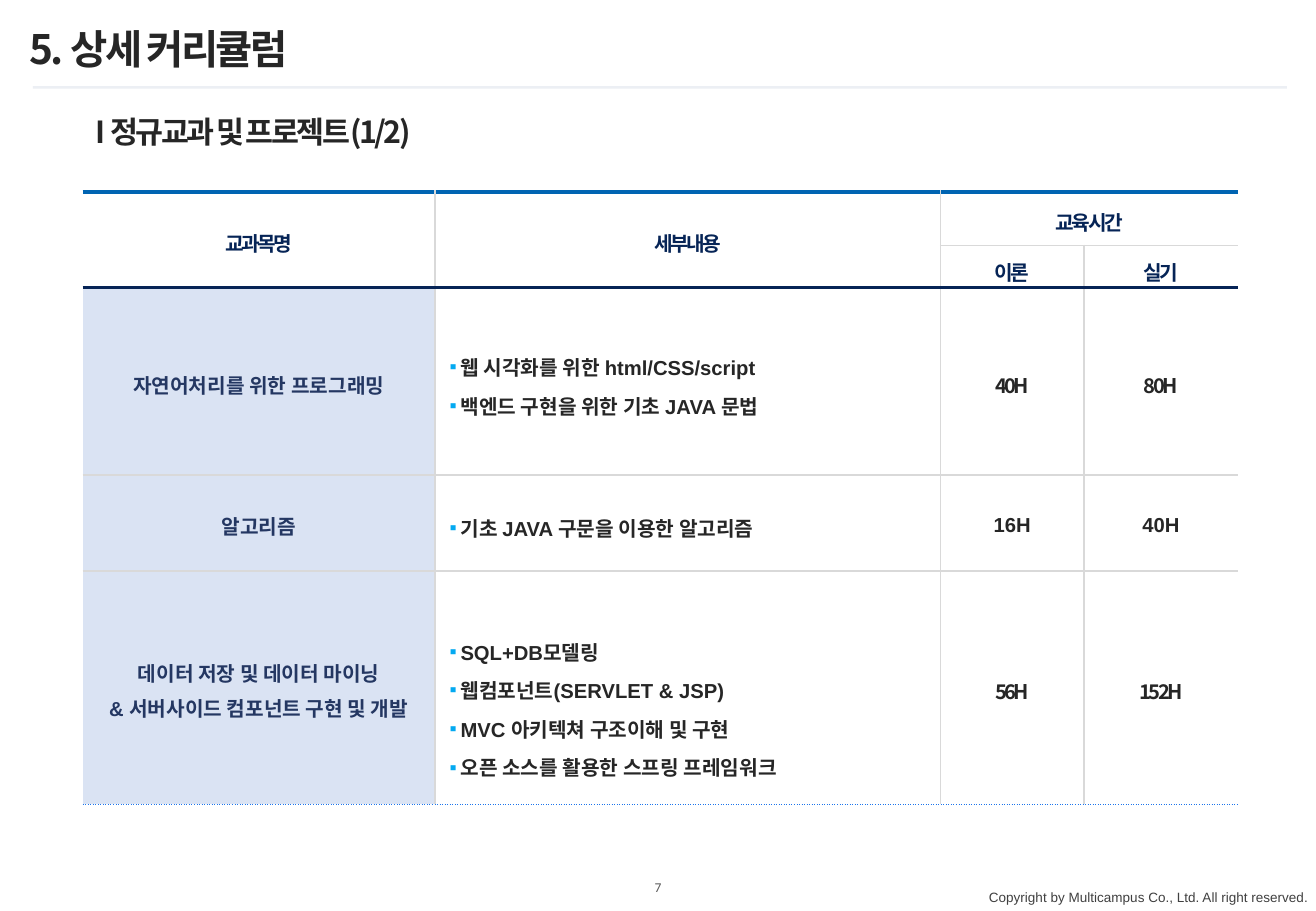
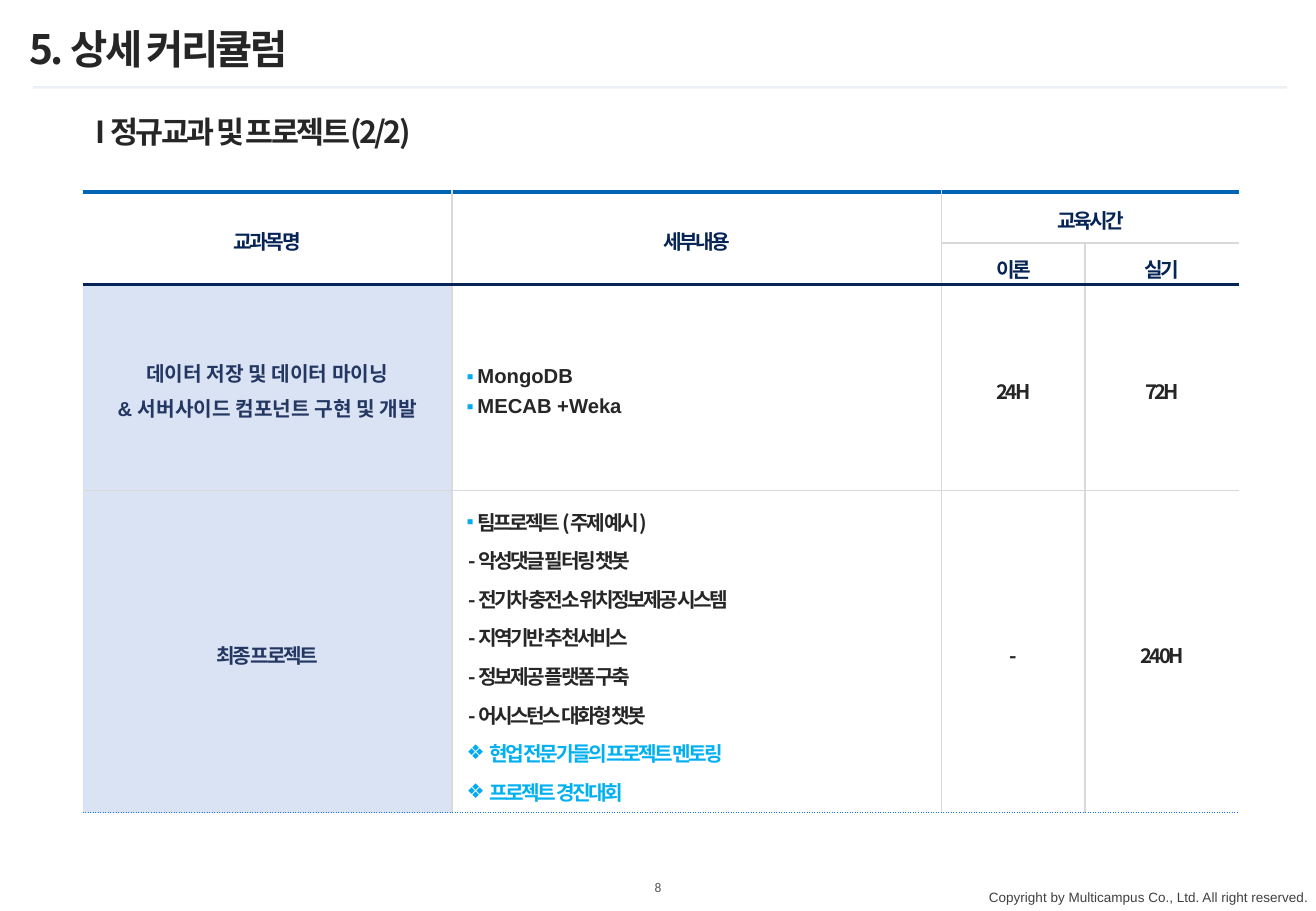
import pptx
import pptx.dml.color
import pptx.enum.shapes
import pptx.enum.text
import pptx.oxml.xmlchemy
import pptx.util

PX = 9144  # 100 px to the inch
SANS, LATIN = "Noto Sans CJK KR", "Arial"
INK, NAVY, SLATE, SKY = "262626", "062456", "243762", "00B0F0"
BULLET, PALE, DIVIDER = "03A9F1", "DAE3F3", "ECEFF4"
TIGHT = -1.5
ALIGN = pptx.enum.text.PP_ALIGN
MIDDLE = pptx.enum.text.MSO_ANCHOR.MIDDLE

# Table rules: colour, width in points, dash
GRID = ("D9D9D9", 1, "solid")
TOP_RULE = ("0064B2", 2.25, "solid")
HEAD_RULE = (NAVY, 2.25, "solid")
END_RULE = ("1C75ED", 0.5, "sysDot")

# Header cells: first row, first column, last row, last column, text
HEADERS = [(0, 0, 1, 0, "교과목명"), (0, 1, 1, 1, "세부내용"),
           (0, 2, 0, 3, "교육시간"), (1, 2, 1, 2, "이론"), (1, 3, 1, 3, "실기")]
STORAGE = ["데이터 저장 및 데이터 마이닝", "& 서버사이드 컴포넌트 구현 및 개발"]

# Each course: name, details, hours, fonts of those three, extra space above details
PAGES = [
    dict(number=7, subtitle="I 정규교과 및 프로젝트(1/2)",
         columns=[290, 416, 118, 127], rows=[44, 35, 154, 79, 192],
         courses=[
             (["자연어처리를 위한 프로그래밍"],
              ["▪웹 시각화를 위한 html/CSS/script", "▪백엔드 구현을 위한 기초 JAVA 문법"],
              ["40H", "80H"], (LATIN, LATIN, SANS), 0),
             (["알고리즘"], ["▪기초 JAVA 구문을 이용한 알고리즘"],
              ["16H", "40H"], (LATIN, LATIN, LATIN), 0),
             (STORAGE,
              ["▪SQL+DB모델링", "▪웹컴포넌트(SERVLET & JSP)",
               "▪MVC 아키텍쳐 구조이해 및 구현", "▪오픈 소스를 활용한 스프링 프레임워크"],
              ["56H", "152H"], (LATIN, LATIN, SANS), 28)]),
    dict(number=8, subtitle="I 정규교과 및 프로젝트(2/2)",
         columns=[304, 403, 118, 127], rows=[42, 33, 170, 265],
         courses=[
             (STORAGE, ["▪MongoDB", "▪MECAB +Weka"],
              ["24H", "72H"], (LATIN, LATIN, SANS), 0),
             (["최종 프로젝트"],
              ["▪팀프로젝트 (주제 예시)", "- 악성댓글 필터링 챗봇",
               "- 전기차 충전소 위치정보제공 시스템", "- 지역기반 추천서비스",
               "- 정보제공 플랫폼 구축", "- 어시스턴스 대화형 챗봇",
               "❖현업 전문가들의 프로젝트 멘토링", "❖프로젝트 경진대회"],
              ["-", "240H"], (SANS, SANS, SANS), 0)]),
]


def px(*lengths):
    return [pptx.util.Emu(length * PX) for length in lengths]


def rgb(color):
    return pptx.dml.color.RGBColor.from_string(color)


def tracking(font):
    return TIGHT if font == SANS else 0


def add_element(parent, tag, **attributes):
    element = pptx.oxml.xmlchemy.OxmlElement(tag)
    for name, value in attributes.items():
        element.set(name, str(value))
    parent.append(element)
    return element


def write(para, text, size=12, color=INK, font=SANS, bold=True, spacing=0,
          align=ALIGN.LEFT, line=1.0, before=0, bullet=None, indent=0, hanging=0):
    """Fill one paragraph with a formatted run."""
    properties = para._p.get_or_add_pPr()
    properties.set("marL", str(indent * PX))
    properties.set("indent", str(-hanging * PX))
    if bullet:
        tint = add_element(properties, "a:buClr")
        add_element(tint, "a:srgbClr", val=BULLET)
        add_element(properties, "a:buFont", typeface=LATIN)
        add_element(properties, "a:buChar", char=bullet)
    para.alignment, para.line_spacing = align, line
    para.space_before = pptx.util.Pt(before)
    span = para.add_run()
    span.text = text
    span.font.size, span.font.bold = pptx.util.Pt(size), bold
    span.font.color.rgb, span.font.name = rgb(color), font
    run_properties = span._r.get_or_add_rPr()
    run_properties.set("spc", str(int(spacing * 100)))
    add_element(run_properties, "a:ea", typeface=SANS)


def set_margins(target, left, top, right, bottom):
    (target.margin_left, target.margin_top,
     target.margin_right, target.margin_bottom) = px(left, top, right, bottom)


def add_label(page, box, text, margins=(10, 5, 10, 5), wrap=False, anchor=MIDDLE, **style):
    frame = page.shapes.add_textbox(*px(*box)).text_frame
    frame.word_wrap, frame.vertical_anchor = wrap, anchor
    set_margins(frame, *margins)
    write(frame.paragraphs[0], text, **style)


def add_frame(page, number):
    """Title, divider, page number and copyright line."""
    title = page.shapes.title
    title.left, title.top, title.width, title.height = px(14, 12, 950, 61)
    frame = title.text_frame
    frame.auto_size = pptx.enum.text.MSO_AUTO_SIZE.NONE
    frame.word_wrap, frame.vertical_anchor = False, MIDDLE
    set_margins(frame, 10, 5, 10, 5)
    write(frame.paragraphs[0], "5. 상세 커리큘럼", size=24, spacing=TIGHT, line=0.9)

    divider = page.shapes.add_shape(
        pptx.enum.shapes.MSO_SHAPE.RECTANGLE, *px(27, 71, 1032, 2))
    divider.shadow.inherit = False
    divider.fill.solid()
    divider.fill.fore_color.rgb = rgb(DIVIDER)
    divider.line.fill.background()

    add_label(page, (526, 722, 31, 17), str(number), margins=(0, 0, 0, 0), size=8,
              color="595959", font="Calibri", bold=False, align=ALIGN.CENTER)
    add_label(page, (811, 725, 266, 24),
              "Copyright by Multicampus Co., Ltd. All right reserved.",
              margins=(0, 8, 0, 5), size=8, color="404040", font=LATIN, bold=False,
              align=ALIGN.RIGHT)


def set_borders(cell, **edges):
    properties = cell._tc.get_or_add_tcPr()
    for side in "LRTB":
        rule = edges[side]
        if rule is None:
            add_element(add_element(properties, "a:ln" + side, w=0), "a:noFill")
            continue
        color, width, dash = rule
        line = add_element(properties, "a:ln" + side, w=int(width * 12700))
        add_element(add_element(line, "a:solidFill"), "a:srgbClr", val=color)
        add_element(line, "a:prstDash", val=dash)


def rule_table(table, row_count):
    """Draw every cell edge, leaving out those inside merged headers."""
    levels = [TOP_RULE, GRID, HEAD_RULE] + [GRID] * (row_count - 3) + [END_RULE]
    areas = [header[:4] for header in HEADERS]
    areas += [(row, column, row, column)
              for row in range(2, row_count) for column in range(4)]
    for top, left, bottom, right in areas:
        for row in range(top, bottom + 1):
            for column in range(left, right + 1):
                origin = (row, column) == (top, left)
                cell = table.cell(row, column)
                set_borders(
                    cell,
                    L=GRID if column == left and left > 0 else None,
                    R=GRID if (origin or column == right) and right < 3 else None,
                    T=levels[top] if row == top else None,
                    B=levels[bottom + 1] if origin or row == bottom else None)
                cell.fill.background()
        if (top, left) != (bottom, right):
            table.cell(top, left).merge(table.cell(bottom, right))


def cell_paragraphs(cell, count, margins):
    """Prepare a cell and return its paragraphs."""
    cell.vertical_anchor = MIDDLE
    set_margins(cell, *margins)
    for _ in range(count - 1):
        cell.text_frame.add_paragraph()
    return cell.text_frame.paragraphs


def fill_cell(cell, lines, margins=(0, 0, 0, 0), **style):
    for para, text in zip(cell_paragraphs(cell, len(lines), margins), lines):
        write(para, text, align=ALIGN.CENTER, **style)


def fill_details(cell, lines, font, extra):
    """Lines open with their own mark: a square, a dash or a diamond."""
    marks = {"▪": dict(bullet="▪", indent=9, hanging=9),
             "❖": dict(bullet="❖", indent=19, hanging=19, color=SKY)}
    paragraphs = cell_paragraphs(cell, len(lines), (12, 5 + extra, 2, 2))
    for index, (para, text) in enumerate(zip(paragraphs, lines)):
        style = marks.get(text[0], dict(indent=2))
        write(para, text.lstrip("▪❖"), font=font, spacing=tracking(font), line=1.2,
              before=2 if index else 0, **style)


def add_curriculum(page, left, top, columns, rows, courses):
    table = page.shapes.add_table(
        len(rows), len(columns), *px(left, top, sum(columns), sum(rows))).table
    table.first_row = table.horz_banding = False
    for column, width in zip(table.columns, px(*columns)):
        column.width = width
    for row, height in zip(table.rows, px(*rows)):
        row.height = height
    rule_table(table, len(rows))

    for row, column, _, _, text in HEADERS:
        fill_cell(table.cell(row, column), [text], margins=(10, 7, 10, 5), color=NAVY,
                  spacing=TIGHT, line=1.1)

    for row, (name, details, hours, fonts, extra) in enumerate(courses, start=2):
        name_font, detail_font, hour_font = fonts
        name_cell = table.cell(row, 0)
        name_cell.fill.solid()
        name_cell.fill.fore_color.rgb = rgb(PALE)
        fill_cell(name_cell, name, color=SLATE, font=name_font,
                  spacing=tracking(name_font), line=1.2)
        fill_details(table.cell(row, 1), details, detail_font, extra)
        for column, hour in enumerate(hours, start=2):
            fill_cell(table.cell(row, column), [hour], font=hour_font,
                      spacing=tracking(hour_font), line=1.2)


def add_page(deck, number, subtitle, columns, rows, courses):
    page = deck.slides.add_slide(deck.slide_layouts.get_by_name("Title Only"))
    add_frame(page, number)
    add_curriculum(page, 68, 158, columns, rows, courses)
    add_label(page, (69, 92, 455, 37), subtitle, wrap=True, size=18, spacing=TIGHT,
              line=0.9, anchor=pptx.enum.text.MSO_ANCHOR.TOP)


def main():
    deck = pptx.Presentation()
    deck.slide_width, deck.slide_height = px(1083, 750)
    for content in PAGES:
        add_page(deck, **content)
    deck.save("out.pptx")


if __name__ == "__main__":
    main()
